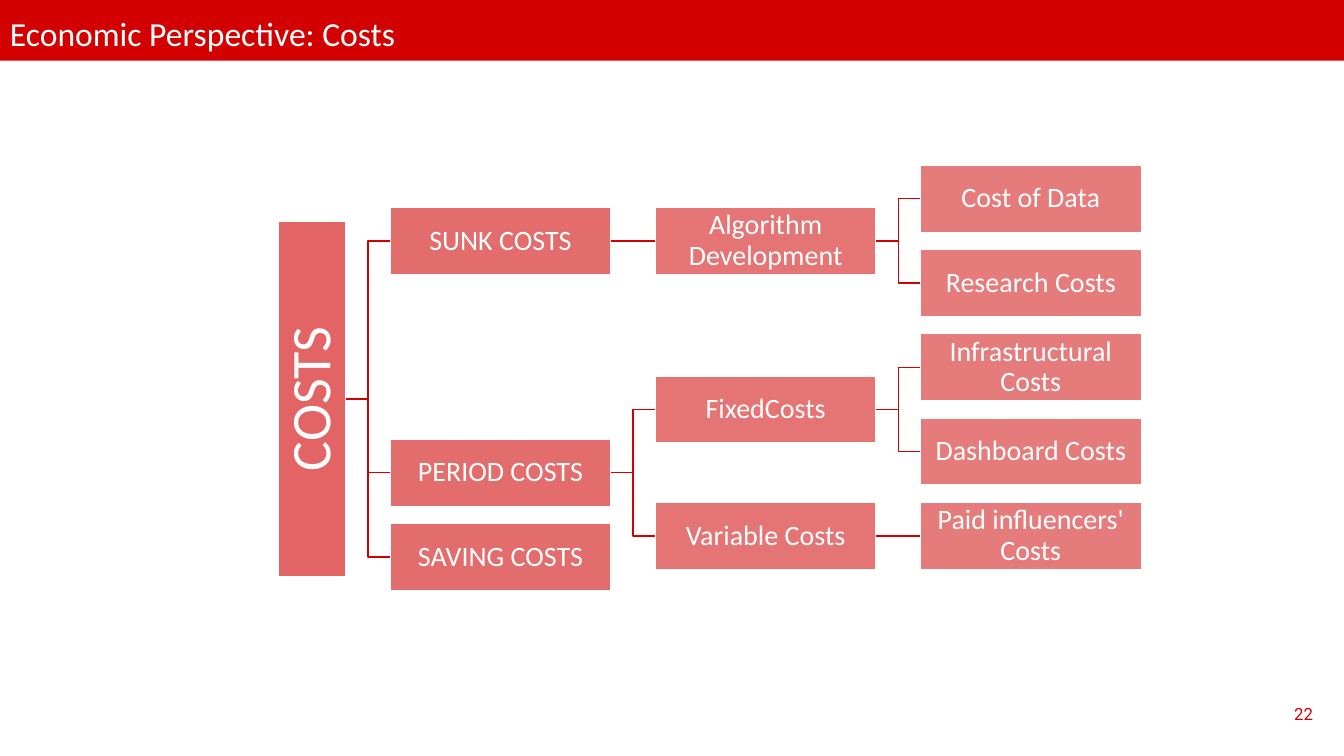
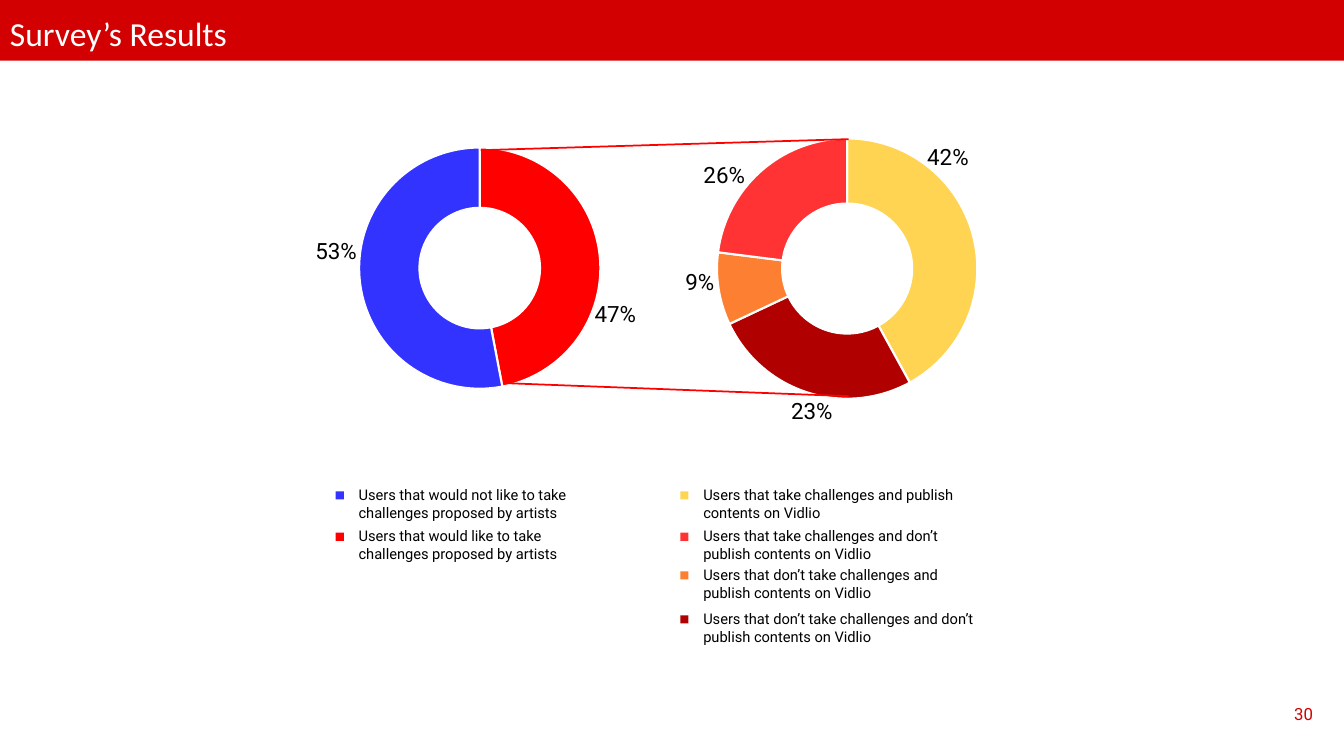
from lxml import etree
from pptx import Presentation
from pptx.chart.data import CategoryChartData
from pptx.dml.color import RGBColor
from pptx.enum import chart as charts, shapes, text
from pptx.oxml import ns
from pptx.util import Pt

RED = RGBColor(0xD2, 0x00, 0x00)
WHITE = RGBColor(0xFF, 0xFF, 0xFF)
BLACK = RGBColor(0x00, 0x00, 0x00)
LEVELS = [  # box fill for each depth of the tree
    RGBColor(0xE2, 0x64, 0x65), RGBColor(0xE3, 0x6C, 0x6D),
    RGBColor(0xE5, 0x74, 0x74), RGBColor(0xE6, 0x7B, 0x7C)]
BRIGHT = RGBColor(0xFF, 0x00, 0x00)
BLUE = RGBColor(0x33, 0x33, 0xFF)
GOLD = RGBColor(0xFF, 0xD4, 0x52)
CORAL = RGBColor(0xFF, 0x33, 0x33)
ORANGE = RGBColor(0xFD, 0x7F, 0x31)
DARK = RGBColor(0xB0, 0x00, 0x00)
HEAD, BODY = "Calibri", "Roboto"

# A node is (label, children); a leaf is (label, row).
TREE = ("COSTS", [
    ("SUNK COSTS", [
        ("Algorithm Development", [
            ("Cost of Data", 0), ("Research Costs", 1)])]),
    ("PERIOD COSTS", [
        ("FixedCosts", [
            ("Infrastructural Costs", 2), ("Dashboard Costs", 3)]),
        ("Variable Costs", [("Paid influencers' Costs", 4)])]),
    ("SAVING COSTS", 4.25)])
BOX_W, BOX_H = 157.8, 48
ROOT_X, ROOT_H = 199.1, 253.4
COL_X, COL_STEP = 278.6, 189.4
ROW_Y, ROW_STEP = 142, 60.2  # centre of the first row

PERCENTS = [
    ("53%", 218.2, 165.6), ("47%", 417.6, 211), ("23%", 558, 280.1),
    ("42%", 655.2, 98.6), ("26%", 495.4, 111.6), ("9%", 482.4, 187.9)]
KEY_TOPS = [343.4, 373, 400.6, 432]
KEYS = [  # left edge, text width, entries
    (239.8, 177.8, [
        (BLUE, "Users that would not like to take challenges proposed by artists"),
        (BRIGHT, "Users that would like to take challenges proposed by artists")]),
    (486, 211, [
        (GOLD, "Users that take challenges and publish contents on Vidlio"),
        (CORAL, "Users that take challenges and don’t publish contents on Vidlio"),
        (ORANGE, "Users that don’t take challenges and publish contents on Vidlio"),
        (DARK, "Users that don’t take challenges and don’t publish contents on Vidlio")])]


def style(font, name, size, color):
    font.name, font.size, font.color.rgb = name, Pt(size), color


def write(frame, words, name, size, color):
    frame.word_wrap = True
    frame.text = words
    for run in frame.paragraphs[0].runs:
        style(run.font, name, size, color)


def label(slide, words, x, y, w, h, name, size, color):
    box = slide.shapes.add_textbox(Pt(x), Pt(y), Pt(w), Pt(h))
    write(box.text_frame, words, name, size, color)


def block(slide, x, y, w, h, fill):
    """Add a flat rectangle without outline."""
    rect = slide.shapes.add_shape(
        shapes.MSO_SHAPE.RECTANGLE, Pt(x), Pt(y), Pt(w), Pt(h))
    rect.shadow.inherit = False
    rect.fill.solid()
    rect.fill.fore_color.rgb = fill
    rect.line.fill.background()
    return rect


def wire(slide, kind, color, width, ends=(0, 0, 0, 0)):
    line = slide.shapes.add_connector(kind, *map(Pt, ends))
    line.line.color.rgb = color
    line.line.width = Pt(width)
    etree.SubElement(line._element.spPr, ns.qn("a:effectLst"))
    return line


def start(deck, title, number):
    """Add a slide with its title band and page number."""
    slide = deck.slides.add_slide(deck.slide_layouts[6])
    block(slide, 0, 0, 960, 43.4, RED)
    label(slide, title, 0, 5.8, 960, 36, HEAD, 24, WHITE)
    label(slide, number, 917.3, 499, 29.5, 21.6, BODY, 12, RED)
    return slide


def node(slide, words, level, row):
    mid = ROW_Y + row * ROW_STEP
    if level:
        x, w, h, size, inset = COL_X + (level - 1) * COL_STEP, BOX_W, BOX_H, 20, 0.9
    else:
        x, w, h, size, inset = ROOT_X, BOX_H, ROOT_H, 40, 2
    box = block(slide, x, mid - h / 2, w, h, LEVELS[level])
    box.line.color.rgb = WHITE
    box.line.width = Pt(1)
    frame = box.text_frame
    write(frame, words, HEAD, size, WHITE)
    frame.vertical_anchor = text.MSO_ANCHOR.MIDDLE
    frame.margin_left = frame.margin_right = Pt(inset)
    frame.margin_top = frame.margin_bottom = Pt(inset)
    frame.paragraphs[0].alignment = text.PP_ALIGN.CENTER
    frame.paragraphs[0].line_spacing = 0.9
    if not level:
        frame._txBody.bodyPr.set("vert", "vert270")
    return box


def branch(slide, item, level=0):
    """Draw a node centred on its children; return its box and row."""
    words, rest = item
    kids = []
    row = rest
    if isinstance(rest, list):
        kids = [branch(slide, kid, level + 1) for kid in rest]
        row = (kids[0][1] + kids[-1][1]) / 2
    box = node(slide, words, level, row)
    for kid, place in kids:
        kind = shapes.MSO_CONNECTOR.ELBOW
        if place == row:
            kind = shapes.MSO_CONNECTOR.STRAIGHT
        line = wire(slide, kind, RED, 1)
        line.begin_connect(box, 3)
        line.end_connect(kid, 1)
    return box, row


def ring(slide, x, y, w, h, parts):
    """Add a doughnut chart from (value, colour) parts."""
    data = CategoryChartData()
    data.categories = [str(i + 1) for i in range(len(parts))]
    data.add_series("Series 1", [value for value, _ in parts])
    chart = slide.shapes.add_chart(
        charts.XL_CHART_TYPE.DOUGHNUT, Pt(x), Pt(y), Pt(w), Pt(h), data).chart
    chart.has_title = chart.has_legend = False
    style(chart.font, HEAD, 10, BLACK)
    plot = chart.plots[0]
    plot.has_data_labels = False
    for i, (_, color) in enumerate(parts):
        form = plot.series[0].points[i].format
        form.fill.solid()
        form.fill.fore_color.rgb = color
        form.line.color.rgb = WHITE
        form.line.width = Pt(1.5)
    center(chart, 0.9 * h / w, 0.9)


def center(chart, wide, high):
    """Centre the plot area, sized as shares of the chart."""
    area = chart._chartSpace.xpath("c:chart/c:plotArea")[0]
    for old in area.findall(ns.qn("c:layout")):
        area.remove(old)
    layout = etree.Element(ns.qn("c:layout"))
    area.insert(0, layout)
    manual = etree.SubElement(layout, ns.qn("c:manualLayout"))
    for tag, value in (
            ("layoutTarget", "inner"), ("xMode", "edge"), ("yMode", "edge"),
            ("x", (1 - wide) / 2), ("y", (1 - high) / 2),
            ("w", wide), ("h", high)):
        etree.SubElement(manual, ns.qn("c:" + tag)).set("val", str(value))


def survey(slide):
    ring(slide, 468.7, 88.6, 272.9, 206.6,
         [(42, GOLD), (26, DARK), (9, ORANGE), (23, CORAL)])
    ring(slide, 220.3, 95.8, 244.8, 191.5, [(47, BRIGHT), (53, BLUE)])
    for ends in ((343.4, 107.3, 606.2, 99.4), (359.3, 273.6, 606.2, 283)):
        wire(slide, shapes.MSO_CONNECTOR.STRAIGHT, BRIGHT, 1.25, ends)
    for words, x, y in PERCENTS:
        label(slide, words, x, y, 51.1, 26.6, BODY, 16, BLACK)
    for x, w, keys in KEYS:
        for top, (color, words) in zip(KEY_TOPS, keys):
            block(slide, x, top + 7.5, 5.8, 5.8, color)
            label(slide, words, x + 9.3, top, w, 32.4, BODY, 10.5, BLACK)


def main():
    deck = Presentation()
    deck.slide_width, deck.slide_height = Pt(960), Pt(540)
    branch(start(deck, "Economic Perspective: Costs", "22"), TREE)
    survey(start(deck, "Survey’s Results", "30"))
    deck.save("out.pptx")


if __name__ == "__main__":
    main()
